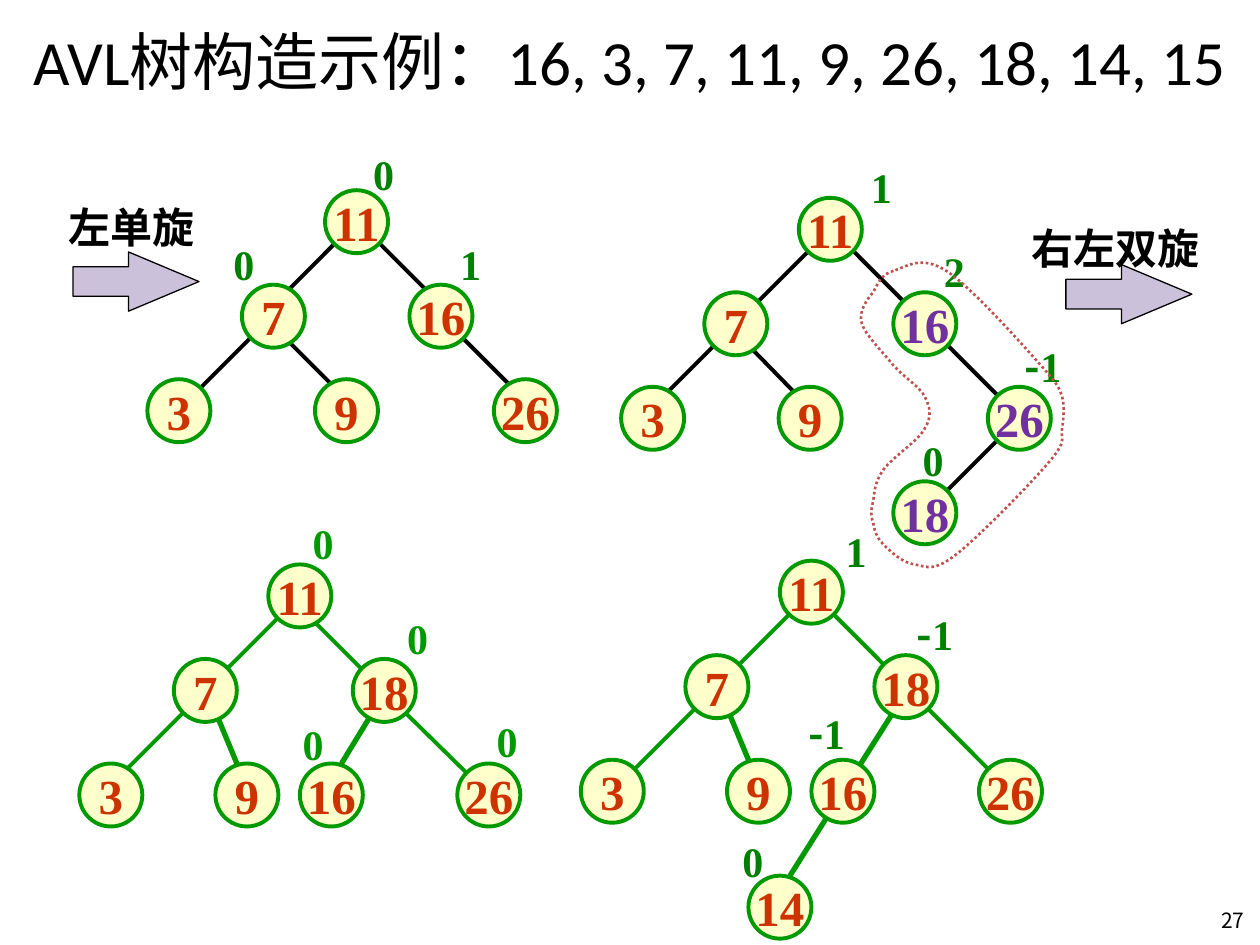
from dataclasses import dataclass

from lxml import etree
from pptx import Presentation
from pptx.dml.color import RGBColor
from pptx.enum import dml, shapes, text
from pptx.oxml.ns import qn
from pptx.util import Inches, Pt


@dataclass(frozen=True)
class Theme:
    black: str = "000000"
    green: str = "009900"
    dark_green: str = "008000"
    cream: str = "FFFFCC"
    red: str = "CC3300"
    purple: str = "7030A0"
    lilac: str = "CCC1DA"
    brick: str = "C0504D"
    serif: str = "Times New Roman"
    sans: str = "Calibri"
    cjk: str = "Noto Sans CJK SC"
    page: str = "Noto Sans CJK JP"
    title_size: int = 36
    key_size: int = 28
    label_size: int = 24
    page_size: int = 12
    thin: float = 2.25
    thick: float = 3
    node: float = 0.5


T = Theme()

# Trees: offsets in inches from the tree's top-left corner
AFTER_LEFT = dict(
    nodes=[(11, 1.41, 0.38), (7, 0.75, 1.13), (16, 2.08, 1.13),
           (3, 0, 1.88), (9, 1.33, 1.88), (26, 2.75, 1.88)],
    balances=[("0", 1.69, 0), ("0", 0.58, 0.71), ("1", 2.38, 0.71)],
    edges=[(1.75, 0.71, 2.25, 1.21), (2.41, 1.46, 2.91, 1.96), (0.83, 1.54, 0.41, 1.96),
           (1.08, 1.54, 1.58, 2.04), (1.5, 0.79, 1.08, 1.21)],
    edge_color=T.black)
INSERT_18 = dict(
    nodes=[(11, 1.41, 0.34), (7, 0.66, 1.09), (16, 2.16, 1.09), (3, 0, 1.84),
           (9, 1.25, 1.84), (26, 2.91, 1.84), (18, 2.16, 2.59)],
    balances=[("1", 1.88, 0), ("2", 2.46, 0.67), ("0", 2.29, 2.17), ("-1", 3.08, 1.42)],
    edges=[(1, 1.5, 1.41, 1.92), (0.83, 1.42, 0.33, 1.92), (3, 2.25, 2.58, 2.67),
           (1.83, 0.75, 2.25, 1.17), (1.5, 0.75, 1.08, 1.17), (2.58, 1.5, 3, 1.92)],
    edge_color=T.black, rotating=(16, 26, 18))
AFTER_DOUBLE = dict(
    nodes=[(11, 1.5, 0.42), (7, 0.75, 1.17), (18, 2.17, 1.17), (3, 0, 2),
           (9, 1.08, 2), (16, 1.75, 2), (26, 3, 2)],
    balances=[("0", 1.75, 0), ("0", 2.5, 0.75), ("0", 1.67, 1.59), ("0", 3.21, 1.57)],
    edges=[(2.58, 1.59, 3.17, 2.17), (1.83, 0.84, 2.33, 1.34),
           (0.83, 1.59, 0.33, 2.09), (1.58, 0.84, 1.17, 1.25)],
    thick_edges=[(1.08, 1.59, 1.25, 2), (2.33, 1.59, 2.08, 2)],
    balance_color=T.green)
INSERT_14 = dict(
    nodes=[(11, 1.58, 0.33), (7, 0.83, 1.08), (18, 2.33, 1.08), (3, 0, 1.91),
           (9, 1.16, 1.91), (16, 1.83, 1.91), (26, 3.16, 1.91), (14, 1.33, 2.83)],
    balances=[("1", 2, 0), ("-1", 2.54, 0.66), ("-1", 1.68, 1.45), ("0", 1.18, 2.46)],
    edges=[(2, 0.75, 2.58, 1.33), (1.66, 0.75, 1.16, 1.25),
           (1, 1.41, 0.25, 2.16), (2.75, 1.5, 3.33, 2.08)],
    thick_edges=[(1.16, 1.5, 1.33, 1.91), (2.5, 1.5, 1.66, 2.83)])

# Dotted loop: start point, then two control points and an end point per curve
LOOP_START = (0.28, 0.13)
LOOP_CURVES = [
    (0.18, 0.16, 0.16, 0.23, 0.12, 0.3), (0.07, 0.36, 0, 0.45, 0.03, 0.55),
    (0.06, 0.64, 0.2, 0.78, 0.28, 0.88), (0.37, 0.98, 0.49, 1.05, 0.53, 1.13),
    (0.57, 1.21, 0.59, 1.28, 0.53, 1.38), (0.48, 1.48, 0.27, 1.61, 0.2, 1.71),
    (0.13, 1.81, 0.13, 1.89, 0.12, 1.96), (0.1, 2.03, 0.1, 2.07, 0.12, 2.13),
    (0.13, 2.18, 0.14, 2.24, 0.2, 2.3), (0.25, 2.35, 0.35, 2.45, 0.45, 2.46),
    (0.55, 2.48, 0.6, 2.52, 0.78, 2.38), (0.96, 2.24, 1.39, 1.8, 1.53, 1.63),
    (1.67, 1.46, 1.6, 1.46, 1.62, 1.38), (1.63, 1.3, 1.64, 1.21, 1.62, 1.13),
    (1.59, 1.05, 1.6, 1.05, 1.45, 0.88), (1.3, 0.71, 0.89, 0.25, 0.7, 0.13),
    (0.5, 0, 0.38, 0.1, 0.28, 0.13)]


def rgb(color):
    return RGBColor.from_string(color)


def write(sp, runs, size, color=T.black, bold=False, wrap=False,
          anchor=text.MSO_ANCHOR.MIDDLE):
    """Fill a shape with one centred paragraph of (text, font) runs."""
    tf = sp.text_frame
    tf.word_wrap = wrap
    tf.vertical_anchor = anchor
    p = tf.paragraphs[0]
    p.alignment = text.PP_ALIGN.CENTER
    for words, font in runs:
        r = p.add_run()
        r.text = words
        r.font.name, r.font.size, r.font.bold = font, Pt(size), bold
        r.font.color.rgb = rgb(color)
        east_asian = T.sans if font == T.serif else font
        etree.SubElement(r.font._element, qn("a:ea")).set("typeface", east_asian)


def add_label(parent, x, y, w, runs, color=T.black):
    sp = parent.add_textbox(Inches(x), Inches(y), Inches(w), Inches(0.5))
    write(sp, runs, T.label_size, color, bold=True, anchor=text.MSO_ANCHOR.TOP)
    sp.text_frame.auto_size = text.MSO_AUTO_SIZE.SHAPE_TO_FIT_TEXT


def add_filled(parent, kind, x, y, w, h, fill, line, width):
    sp = parent.add_shape(kind, Inches(x), Inches(y), Inches(w), Inches(h))
    sp.shadow.inherit = False
    sp.fill.solid()
    sp.fill.fore_color.rgb = rgb(fill)
    sp.line.color.rgb = rgb(line)
    sp.line.width = Pt(width)
    return sp


def add_edge(parent, x, y, edge, color, width):
    x1, y1, x2, y2 = edge
    c = parent.add_connector(shapes.MSO_CONNECTOR.STRAIGHT, Inches(x + x1),
                             Inches(y + y1), Inches(x + x2), Inches(y + y2))
    c.line.color.rgb = rgb(color)
    c.line.width = Pt(width)
    etree.SubElement(c._element.spPr, qn("a:effectLst"))


def add_tree(s, x, y, nodes, balances, edges, thick_edges=(), edge_color=T.green,
             balance_color=T.dark_green, rotating=()):
    g = s.shapes.add_group_shape().shapes
    for group, width in ((edges, T.thin), (thick_edges, T.thick)):
        for edge in group:
            add_edge(g, x, y, edge, edge_color, width)
    for key, dx, dy in nodes:
        sp = add_filled(g, shapes.MSO_SHAPE.OVAL, x + dx, y + dy, T.node, T.node,
                        T.cream, T.green, T.thin)
        write(sp, [(str(key), T.serif)], T.key_size,
              T.purple if key in rotating else T.red, bold=True)
    for factor, dx, dy in balances:
        runs = [(ch, T.cjk if ch == "-" else T.serif) for ch in factor]
        add_label(g, x + dx, y + dy, 0.37 if len(factor) == 1 else 0.54,
                  runs, balance_color)
    return g


def add_loop(parent, x, y):
    """Dotted outline round the nodes to be rotated."""
    fb = parent.build_freeform(Inches(x + LOOP_START[0]), Inches(y + LOOP_START[1]))
    fb.add_line_segments([(Inches(x + c[4]), Inches(y + c[5])) for c in LOOP_CURVES])
    sp = fb.convert_to_shape()
    # Bend each straight segment into its cubic curve
    segments = list(sp._element.iter(qn("a:lnTo")))
    for segment, c in zip(segments, LOOP_CURVES):
        segment.tag = qn("a:cubicBezTo")
        for i in (0, 2):
            pt = etree.Element(qn("a:pt"), x=str(Inches(x + c[i]) - sp.left),
                               y=str(Inches(y + c[i + 1]) - sp.top))
            segment.insert(i // 2, pt)
    etree.SubElement(segments[-1].getparent(), qn("a:close"))
    sp.shadow.inherit = False
    sp.fill.background()
    sp.line.color.rgb = rgb(T.brick)
    sp.line.width = Pt(1.5)
    sp.line.dash_style = dml.MSO_LINE.ROUND_DOT


def add_rotation(s, x, y, name, label_x, label_y, label_w):
    """Block arrow with the name of the rotation above it."""
    add_label(s.shapes, x + label_x, y + label_y, label_w, [(name, T.serif)])
    sp = add_filled(s.shapes, shapes.MSO_SHAPE.RIGHT_ARROW, x, y, 1, 0.47,
                    T.lilac, T.black, 0.75)
    sp.adjustments[0], sp.adjustments[1] = 0.5, 1.19


def add_heading(s, x, y, w, h, words, font, size):
    sp = s.shapes.add_textbox(Inches(x), Inches(y), Inches(w), Inches(h))
    write(sp, [(words, font)], size, wrap=w > 1)


def main():
    prs = Presentation()
    prs.slide_width, prs.slide_height = Inches(10), Inches(7.5)
    s = prs.slides.add_slide(prs.slide_layouts[6])
    # Title and page number
    add_heading(s, 0, -0.03, 10, 1.02, "AVL树构造示例：16, 3, 7, 11, 9, 26, 18, 14, 15",
                T.sans, T.title_size)
    add_heading(s, 9.57, 7.1, 0.43, 0.4, "27", T.page, T.page_size)
    # Four stages of the tree
    add_tree(s, 0.63, 4.06, **AFTER_DOUBLE)
    add_tree(s, 1.17, 1.13, **AFTER_LEFT)
    add_tree(s, 4.61, 4.12, **INSERT_14)
    unbalanced = add_tree(s, 4.93, 1.23, **INSERT_18)
    add_loop(unbalanced, 6.81, 2.02)
    # Rotations
    add_rotation(s, 0.58, 2, "左单旋", -0.14, -0.45, 1.21)
    add_rotation(s, 8.46, 2.1, "右左双旋", -0.38, -0.38, 1.54)
    prs.save("out.pptx")


if __name__ == "__main__":
    main()
